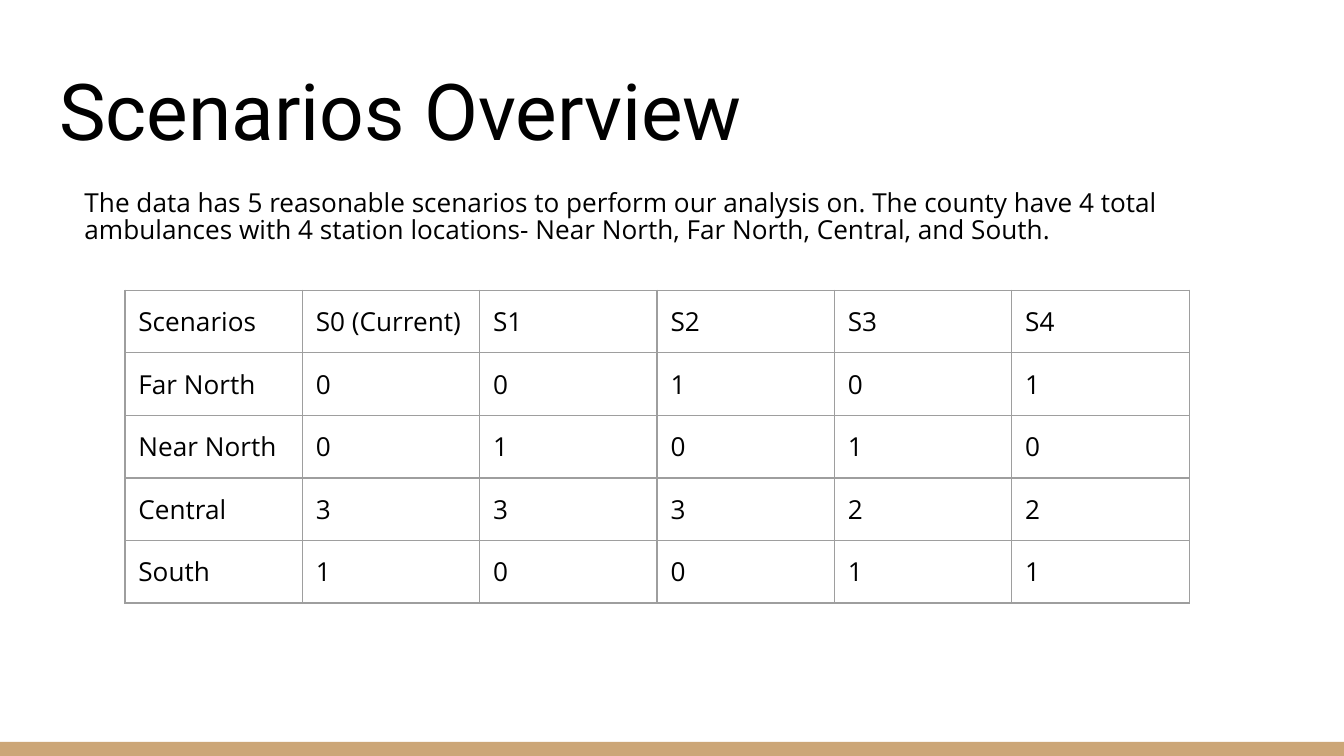
from lxml import etree
from pptx import Presentation
from pptx.dml.color import RGBColor
from pptx.enum import shapes, text
from pptx.oxml.ns import qn
from pptx.util import Inches, Pt

BLACK = RGBColor(0x00, 0x00, 0x00)
TAN = RGBColor(0xCC, 0xA6, 0x77)
GREY = RGBColor(0x9E, 0x9E, 0x9E)
MARGIN = Inches(0.1)
ROWS = [
    ["Scenarios", "S0 (Current)", "S1", "S2", "S3", "S4"],
    ["Far North", "0", "0", "1", "0", "1"],
    ["Near North", "0", "1", "0", "1", "0"],
    ["Central", "3", "3", "3", "2", "2"],
    ["South", "1", "0", "0", "1", "1"],
]


def write(tf, content, size, font):
    p = tf.paragraphs[0]
    p.text = content
    p.alignment = text.PP_ALIGN.LEFT
    p.font.size = Pt(size)
    p.font.name = font
    p.font.color.rgb = BLACK


def set_margins(obj):
    obj.margin_left = obj.margin_right = MARGIN
    obj.margin_top = obj.margin_bottom = MARGIN


prs = Presentation()
prs.slide_width = Inches(10)
prs.slide_height = prs.slide_width * 9 // 16
s = prs.slides.add_slide(prs.slide_layouts[5])

bar = s.shapes.add_shape(shapes.MSO_SHAPE.RECTANGLE, Inches(0), Inches(5.52), prs.slide_width, Inches(0.11))
bar.shadow.inherit = False
bar.fill.solid()
bar.fill.fore_color.rgb = TAN
bar.line.fill.background()

title = s.shapes.title
title.left, title.top = Inches(0.34), Inches(0.35)
title.width, title.height = Inches(9.32), Inches(0.91)
tf = title.text_frame
set_margins(tf)
tf.vertical_anchor = text.MSO_ANCHOR.BOTTOM
tf.auto_size = text.MSO_AUTO_SIZE.NONE
write(tf, "Scenarios Overview", 42, "Roboto")

frame = s.shapes.add_table(len(ROWS), len(ROWS[0]), Inches(0.93), Inches(2.16), Inches(7.92), Inches(2.1))
table = frame.table
table.first_row = table.horz_banding = False
for row, values in zip(table.rows, ROWS):
    row.height = Inches(0.42)
    for cell, value in zip(row.cells, values):
        set_margins(cell)
        write(cell.text_frame, value, 14, "Open Sans")
        tcPr = cell._tc.get_or_add_tcPr()
        for side in ("a:lnL", "a:lnR", "a:lnT", "a:lnB"):
            ln = etree.SubElement(tcPr, qn(side), w=str(Pt(0.75)))
            fill = etree.SubElement(ln, qn("a:solidFill"))
            etree.SubElement(fill, qn("a:srgbClr"), val=str(GREY))
        cell.fill.background()

intro = s.shapes.add_textbox(Inches(0.53), Inches(1.32), Inches(8.45), Inches(0.63))
tf = intro.text_frame
set_margins(tf)
tf.word_wrap = True
write(tf, "The data has 5 reasonable scenarios to perform our analysis on. The county have 4 total "
      "ambulances with 4 station locations- Near North, Far North, Central, and South.", 14, "Open Sans")
tf.paragraphs[0].line_spacing = 0.87

prs.save("out.pptx")
